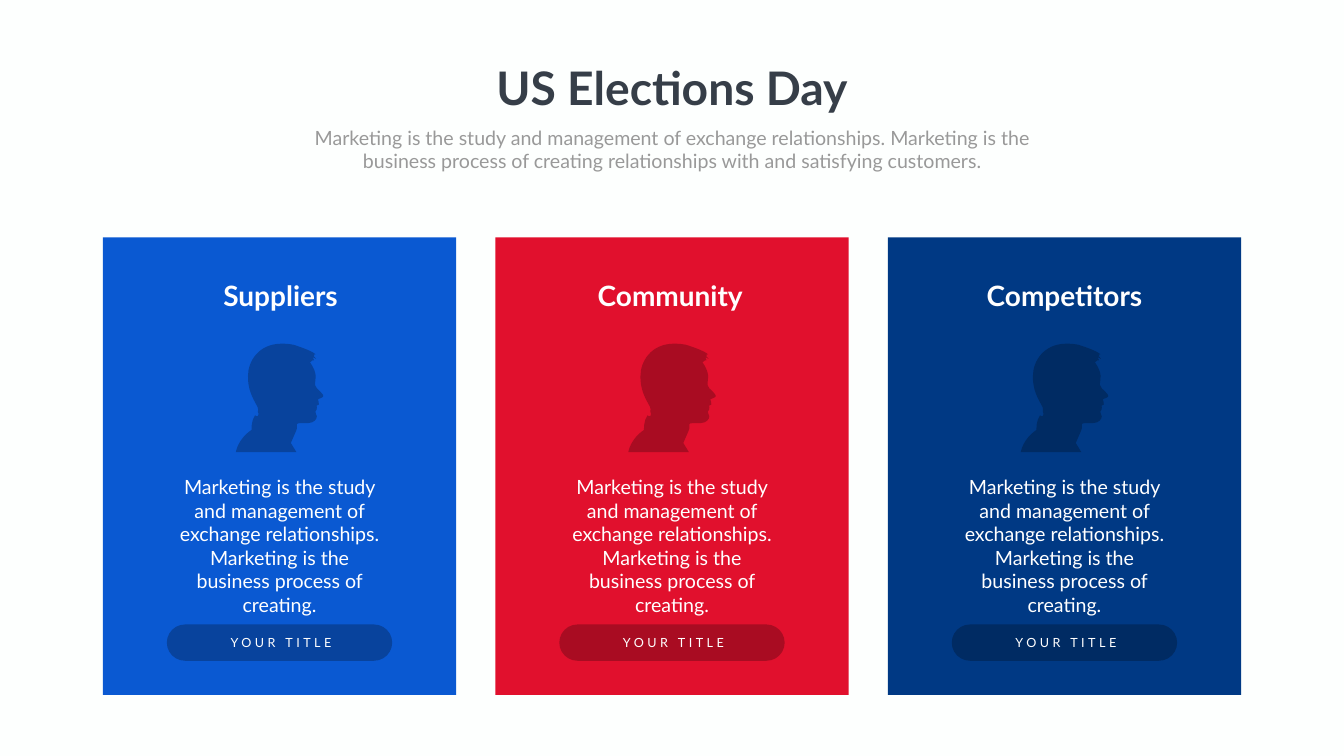
from lxml import etree
from pptx import Presentation
from pptx.dml.color import RGBColor
from pptx.enum.shapes import MSO_SHAPE
from pptx.enum.text import MSO_AUTO_SIZE, PP_ALIGN
from pptx.oxml.ns import qn
from pptx.util import Inches, Pt

RECT, PILL = MSO_SHAPE.RECTANGLE, MSO_SHAPE.ROUNDED_RECTANGLE
CENTER, GROW = PP_ALIGN.CENTER, MSO_AUTO_SIZE.SHAPE_TO_FIT_TEXT

TITLE = "US Elections Day"
SUBTITLE = ("Marketing is the study and management of exchange relationships. Marketing is the "
            "business process of creating relationships with and satisfying customers.")
BODY = ("Marketing is the study and management of exchange relationships. "
        "Marketing is the business process of creating.")
LABEL = "YOUR TITLE"
CARDS = [  # heading, left of heading, card colour, accent colour
    ("Suppliers", 3.07, "0A59D2", "08439D"),
    ("Community", 10.8, "E1102D", "A90C22"),
    ("Competitors", 18.62, "003984", "002B63"),
]

THEME = {
    "font": "Lato", "background": "FDFFFE",
    "title": (66, "363E48", True),
    "subtitle": (28, "999999", False),
    "heading": (40, "FFFFFF", True),
    "body": (28, "FFFFFF", False),
    "label": (18, "FFFFFF", False),
}

SLIDE_W, SLIDE_H = 26.66, 15
MARGIN, CARD_TOP, CARD_W, CARD_H = 2.04, 4.71, 7.01, 9.08
GAP = (SLIDE_W - 2 * MARGIN - len(CARDS) * CARD_W) / (len(CARDS) - 1)
# Lefts inside a card are measured from the card edge.
INSET, LABEL_LEFT, HEAD_LEFT, HEAD_TOP = 1.27, 1.5, 2.64, 6.82

# Head in profile, in inches: a pair is a straight line, six numbers a Bezier curve.
HEAD_START = (0.88, 0)
HEAD = [
    (0.97, 0), (1.02, 0, 1.08, 0.01, 1.14, 0.02),
    (1.14, 0.02, 1.5, 0.13, 1.58, 0.21), (1.58, 0.21, 1.51, 0.22, 1.55, 0.23),
    (1.58, 0.24, 1.54, 0.25, 1.54, 0.25), (1.54, 0.25, 1.59, 0.28, 1.59, 0.3),
    (1.59, 0.31, 1.53, 0.25, 1.53, 0.28), (1.53, 0.3, 1.56, 0.33, 1.55, 0.33),
    (1.55, 0.33, 1.49, 0.32, 1.47, 0.37), (1.47, 0.37, 1.6, 0.54, 1.58, 0.68),
    (1.58, 0.73, 1.57, 0.76, 1.57, 0.78), (1.57, 0.82),
    (1.58, 0.85, 1.59, 0.86, 1.61, 0.89), (1.66, 0.93, 1.72, 1, 1.73, 1.02),
    (1.74, 1.03, 1.74, 1.06, 1.68, 1.08), (1.62, 1.1, 1.61, 1.11, 1.64, 1.15),
    (1.67, 1.19, 1.64, 1.23, 1.6, 1.23), (1.6, 1.23, 1.62, 1.29, 1.6, 1.31),
    (1.58, 1.34, 1.56, 1.35, 1.59, 1.4), (1.63, 1.44, 1.59, 1.53, 1.51, 1.56),
    (1.43, 1.59, 1.24, 1.57, 1.23, 1.58), (1.21, 1.59, 1.2, 1.6, 1.21, 1.65),
    (1.22, 1.68, 1.18, 1.76, 1.15, 1.83), (1.09, 1.97), (1.2, 2.15), (0, 2.15),
    (0, 2.15, 0.03, 1.9, 0.31, 1.71), (0.31, 1.71, 0.3, 1.53, 0.38, 1.42),
    (0.41, 1.44), (0.42, 1.44, 0.44, 1.44, 0.44, 1.43),
    (0.46, 1.41, 0.45, 1.4, 0.45, 1.39), (0.44, 1.37, 0.43, 1.34, 0.44, 1.3),
    (0.46, 1.27, 0.33, 1.12, 0.27, 0.9), (0.25, 0.8),
    (0.24, 0.75, 0.24, 0.7, 0.24, 0.64), (0.24, 0.34, 0.46, 0.01, 0.88, 0),
]


def rgb(value):
    return RGBColor.from_string(value)


def paint(sp, color):
    sp.shadow.inherit = False
    sp.fill.solid()
    sp.fill.fore_color.rgb = rgb(color)
    sp.line.fill.background()


def add_block(shapes, kind, box, color):
    sp = shapes.add_shape(kind, *map(Inches, box))
    paint(sp, color)
    return sp


def add_text(shapes, text, style, box, wrap=True, spacing=0):
    """Add centred text; spacing is the letter spacing in points."""
    size, color, bold = THEME[style]
    tf = shapes.add_textbox(*map(Inches, box)).text_frame
    tf.word_wrap, tf.auto_size = wrap, GROW
    p = tf.paragraphs[0]
    p.alignment = CENTER
    r = p.add_run()
    r.text = text
    r.font.name, r.font.size, r.font.bold = THEME["font"], Pt(size), bold
    r.font.color.rgb = rgb(color)
    if spacing:
        r.font._element.set("spc", str(spacing * 100))


def add_head(shapes, left, color):
    """Build the outline from its end points, then bend the curved segments."""
    def place(x, y):
        return Inches(left + x), Inches(HEAD_TOP + y)

    builder = shapes.build_freeform(*place(*HEAD_START))
    builder.add_line_segments([place(*seg[-2:]) for seg in HEAD], close=True)
    sp = builder.convert_to_shape()
    paint(sp, color)
    lines = list(sp._element.iter(qn("a:lnTo")))
    for line, seg in zip(lines, HEAD):
        if len(seg) == 6:
            curve = etree.Element(qn("a:cubicBezTo"))
            for x, y in zip(seg[::2], seg[1::2]):
                etree.SubElement(curve, qn("a:pt"), x=str(Inches(x)), y=str(Inches(y)))
            line.getparent().replace(line, curve)


def add_card(shapes, left, heading, heading_left, color, accent):
    add_block(shapes, RECT, (left, CARD_TOP, CARD_W, CARD_H), color)
    add_text(shapes, BODY, "body", (left + INSET, 9.38, 4.47, 2.46))
    pill = add_block(shapes, PILL, (left + INSET, 12.39, 4.47, 0.72), accent)
    pill.adjustments[0] = 0.5
    add_text(shapes, LABEL, "label", (left + LABEL_LEFT, 12.54, 4.07, 0.4), spacing=5)
    add_text(shapes, heading, "heading", (heading_left, 5.47, 4.99, 0.77))
    add_head(shapes, left + HEAD_LEFT, accent)


def main():
    prs = Presentation()
    prs.slide_width, prs.slide_height = Inches(SLIDE_W), Inches(SLIDE_H)
    s = prs.slides.add_slide(prs.slide_layouts[6])
    s.background.fill.solid()
    s.background.fill.fore_color.rgb = rgb(THEME["background"])

    header = s.shapes.add_group_shape().shapes
    add_text(header, TITLE, "title", (9.69, 1.12, 7.28, 1.21), wrap=False)
    add_text(header, SUBTITLE, "subtitle", (5.47, 2.44, 15.72, 1.04))
    for i, card in enumerate(CARDS):
        add_card(s.shapes.add_group_shape().shapes, MARGIN + i * (CARD_W + GAP), *card)
    prs.save("out.pptx")


if __name__ == "__main__":
    main()
